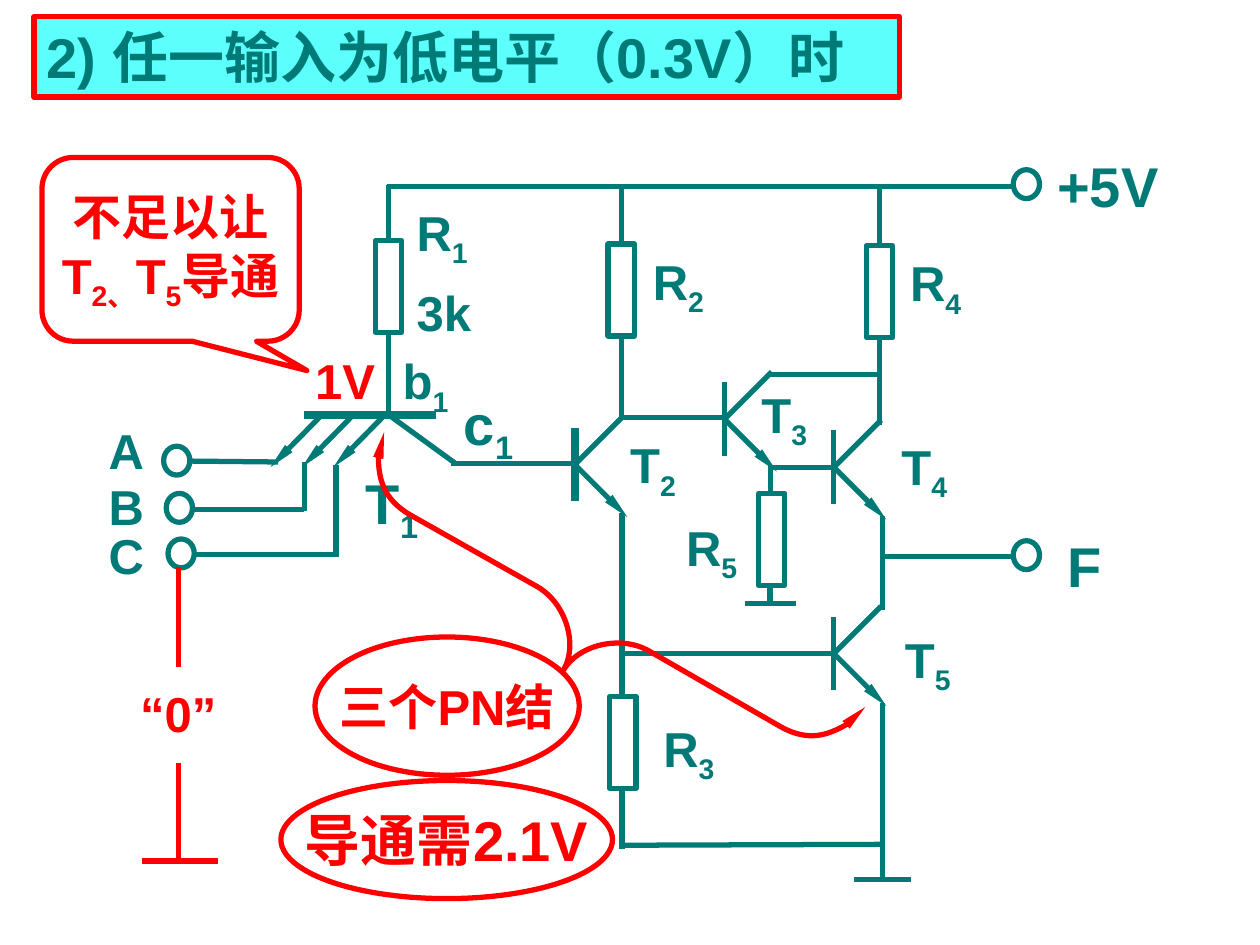
"""Build the slide on a TTL NAND gate with one input at low level."""
import dataclasses

import lxml.etree
import pptx
import pptx.dml.color
import pptx.enum.shapes
import pptx.enum.text
import pptx.oxml.ns
import pptx.util

Pt = pptx.util.Pt
RGB = pptx.dml.color.RGBColor
SHAPE = pptx.enum.shapes.MSO_SHAPE
ALIGN = pptx.enum.text.PP_ALIGN
ANCHOR = pptx.enum.text.MSO_ANCHOR
qn = pptx.oxml.ns.qn


@dataclasses.dataclass(frozen=True)
class Theme:
    teal: RGB = RGB(0x00, 0x7A, 0x77)
    red: RGB = RGB(0xFF, 0x00, 0x00)
    cyan: RGB = RGB(0x5C, 0xFF, 0xFC)
    font: str = "Arial"
    large: int = 32
    normal: int = 28
    thin: float = 3
    thick: float = 4.5


class Circuit:
    def __init__(self, slide, theme):
        self.s = slide
        self.t = theme

    def stroke(self, line, color, width=None):
        line.color.rgb = color
        line.width = Pt(width or self.t.thin)

    def arrowhead(self, sp, *ends):
        ln = sp._element.spPr.find(qn("a:ln"))
        for end in ends:
            lxml.etree.SubElement(ln, qn(f"a:{end}"), type="triangle", w="sm", len="lg")

    def add_runs(self, p, text, size, color):
        for i, part in enumerate(text.split("|")):
            r = p.add_run()
            r.text = part
            r.font.name = self.t.font
            r.font.size = Pt(size)
            r.font.bold = True
            r.font.color.rgb = color
            if i % 2:
                r._r.get_or_add_rPr().set("baseline", "-25000")

    def title(self, text, x, y, w, h):
        sp = self.s.shapes.title
        sp.left, sp.top, sp.width, sp.height = Pt(x), Pt(y), Pt(w), Pt(h)
        sp.fill.solid()
        sp.fill.fore_color.rgb = self.t.cyan
        self.stroke(sp.line, self.t.red)
        tf = sp.text_frame
        tf.auto_size = pptx.enum.text.MSO_AUTO_SIZE.NONE
        tf.vertical_anchor = ANCHOR.TOP
        tf.margin_right = 0
        p = tf.paragraphs[0]
        p.alignment = ALIGN.LEFT
        self.add_runs(p, text, self.t.large, self.t.teal)

    def wire(self, x1, y1, x2, y2, color=None, width=None, arrow=False):
        sp = self.s.shapes.add_connector(
            pptx.enum.shapes.MSO_CONNECTOR.STRAIGHT, Pt(x1), Pt(y1), Pt(x2), Pt(y2))
        self.stroke(sp.line, color or self.t.teal, width)
        if arrow:
            self.arrowhead(sp, "tailEnd")
        lxml.etree.SubElement(sp._element.spPr, qn("a:effectLst"))

    def outline(self, kind, x, y, w, h, color=None):
        sp = self.s.shapes.add_shape(kind, Pt(x), Pt(y), Pt(w), Pt(h))
        sp.shadow.inherit = False
        sp.fill.background()
        self.stroke(sp.line, color or self.t.teal)
        return sp

    def resistor(self, cx, top):
        self.outline(SHAPE.RECTANGLE, cx - 7.5, top, 15, 52.5)

    def terminal(self, x, y):
        self.outline(SHAPE.OVAL, x, y, 15, 16.5)

    def transistor(self, x, y, bar=None):
        self.wire(x, y - 21, x, y + 21, width=bar)
        self.wire(x, y, x + 30, y + 30, arrow=True)
        self.wire(x, y, x + 27, y - 27)

    def label(self, text, x, y, w, size=None, color=None):
        size = size or self.t.normal
        h = size * 1.2 + (12 if "|" in text else 7)
        sp = self.s.shapes.add_textbox(Pt(x), Pt(y), Pt(w), Pt(h))
        sp.text_frame.word_wrap = True
        self.add_runs(sp.text_frame.paragraphs[0], text, size, color or self.t.teal)

    def note(self, kind, lines, x, y, w, h, size, adjust=()):
        sp = self.outline(kind, x, y, w, h, self.t.red)
        for i, value in enumerate(adjust):
            sp.adjustments[i] = value
        tf = sp.text_frame
        tf.word_wrap = False
        tf.vertical_anchor = ANCHOR.MIDDLE
        for i, text in enumerate(lines):
            p = tf.add_paragraph() if i else tf.paragraphs[0]
            p.alignment = ALIGN.CENTER
            self.add_runs(p, text, size, self.t.red)

    def curve(self, start, segments):
        fb = self.s.shapes.build_freeform(Pt(start[0]), Pt(start[1]))
        points = [(Pt(x), Pt(y)) for seg in segments for x, y in seg]
        fb.add_line_segments(points, close=False)
        sp = fb.convert_to_shape()
        sp.shadow.inherit = False
        sp.fill.background()
        self.stroke(sp.line, self.t.red)
        self.arrowhead(sp, "headEnd", "tailEnd")
        steps = iter(list(sp._element.iter(qn("a:lnTo"))))
        for seg in segments:
            group = [next(steps) for _ in seg]
            if len(group) == 3:
                bezier = lxml.etree.Element(qn("a:cubicBezTo"))
                group[0].addprevious(bezier)
                for step in group:
                    bezier.append(step[0])
                    step.getparent().remove(step)


WIRES = [
    (222, 237, 222, 191), (222, 237, 260.5, 265), (258, 265, 328, 265),
    (222, 137, 222, 106), (355, 138, 355, 106), (221, 106.5, 579.5, 106.5),
    (414, 238.5, 355, 238.5), (355, 238.5, 355, 192), (439, 267, 477, 267),
    (439, 214, 502.5, 214), (502.5, 243, 502.5, 193), (502.5, 141, 502.5, 106.5),
    (440.5, 266, 440.5, 282), (440, 334, 440, 345.5), (425.5, 345, 455, 345),
    (355.5, 293, 355.5, 398), (476, 373.5, 355.5, 373.5), (355.5, 450, 355.5, 485),
    (356.5, 483, 504.5, 482.5), (504.5, 295, 504.5, 348.5), (504.5, 402, 504.5, 503),
    (488, 502.5, 520.5, 502.5), (504.5, 318, 579.5, 318), (159, 264, 108.5, 263.5),
    (174, 264, 174, 292), (174, 291, 110, 291), (192, 265.5, 192, 318),
    (193.5, 317, 111.5, 317),
]
GROUNDED_INPUT = [(102, 324, 102, 381), (81, 492, 124.5, 492), (102, 492, 102, 436)]
RESISTORS = [(222, 137.5), (355, 139.5), (356, 398), (502.5, 140.5), (441, 282)]
TERMINALS = [(579, 97), (579, 309), (93.5, 255), (95, 282), (96, 308)]
LABELS = [
    ("R|4", 513, 141, 83), ("R|2", 366, 140, 83), ("R|1", 231, 112, 83),
    ("3k", 231, 158, 97), ("T|2", 353, 245, 48), ("R|5", 385, 292, 50),
    ("R|3", 372, 407, 81), ("T|3", 428, 216, 78), ("T|4", 508, 246, 53),
    ("T|5", 510, 356, 53), ("b|1", 223, 197, 63), ("A", 55, 237, 55),
    ("B", 55, 269, 55), ("C", 55, 297, 55),
]
LARGE_LABELS = [("+5V", 597, 83, 99), ("F", 603, 300, 58),
                ("T|1", 202, 264, 57), ("c|1", 258, 219, 79)]
RED_LABELS = [("“0”", 73, 387, 96), ("1V", 173, 197, 65)]
BRACE = [
    [(211.5, 261.5), (219, 285), (234, 294)], [(307.5, 335.5)],
    [(323.5, 345), (330.5, 368.5), (322, 383)],
    [(330.5, 368.5), (354, 363), (370, 371.5)], [(446.5, 415.5)],
    [(462, 424), (486, 418), (494.5, 404)],
]


def main():
    prs = pptx.Presentation()
    prs.slide_width, prs.slide_height = Pt(720), Pt(540)
    t = Theme()
    c = Circuit(prs.slides.add_slide(prs.slide_layouts[5]), t)
    c.title("2) 任一输入为低电平（0.3V）时", 19.5, 9.5, 494.5, 46)
    c.wire(174, 237, 249, 237, width=t.thick)
    for x in (220, 202, 184):
        c.wire(x, 237, x - 29.5, 267, arrow=True)
    c.transistor(328.5, 265.5, t.thick)
    for x, y in ((414, 239.5), (476.5, 267), (476.5, 373.5)):
        c.transistor(x, y)
    for ends in WIRES:
        c.wire(*ends)
    for place in RESISTORS:
        c.resistor(*place)
    for place in TERMINALS:
        c.terminal(*place)
    for item in LABELS:
        c.label(*item)
    for item in LARGE_LABELS:
        c.label(*item, size=t.large)
    for ends in GROUNDED_INPUT:
        c.wire(*ends, color=t.red)
    for item in RED_LABELS:
        c.label(*item, color=t.red)
    c.note(SHAPE.ROUNDED_RECTANGULAR_CALLOUT, ["不足以让", "T|2、|T|5|导通"],
           24, 90, 147, 105, t.normal, (0.53, 0.66, 0.17))
    c.curve((219.5, 247), BRACE)
    c.note(SHAPE.OVAL, ["三个PN结"], 180, 364, 151, 79, t.normal)
    c.note(SHAPE.OVAL, ["导通需2.1V"], 160.5, 446, 189.5, 67.5, t.large)
    prs.save("out.pptx")


if __name__ == "__main__":
    main()
